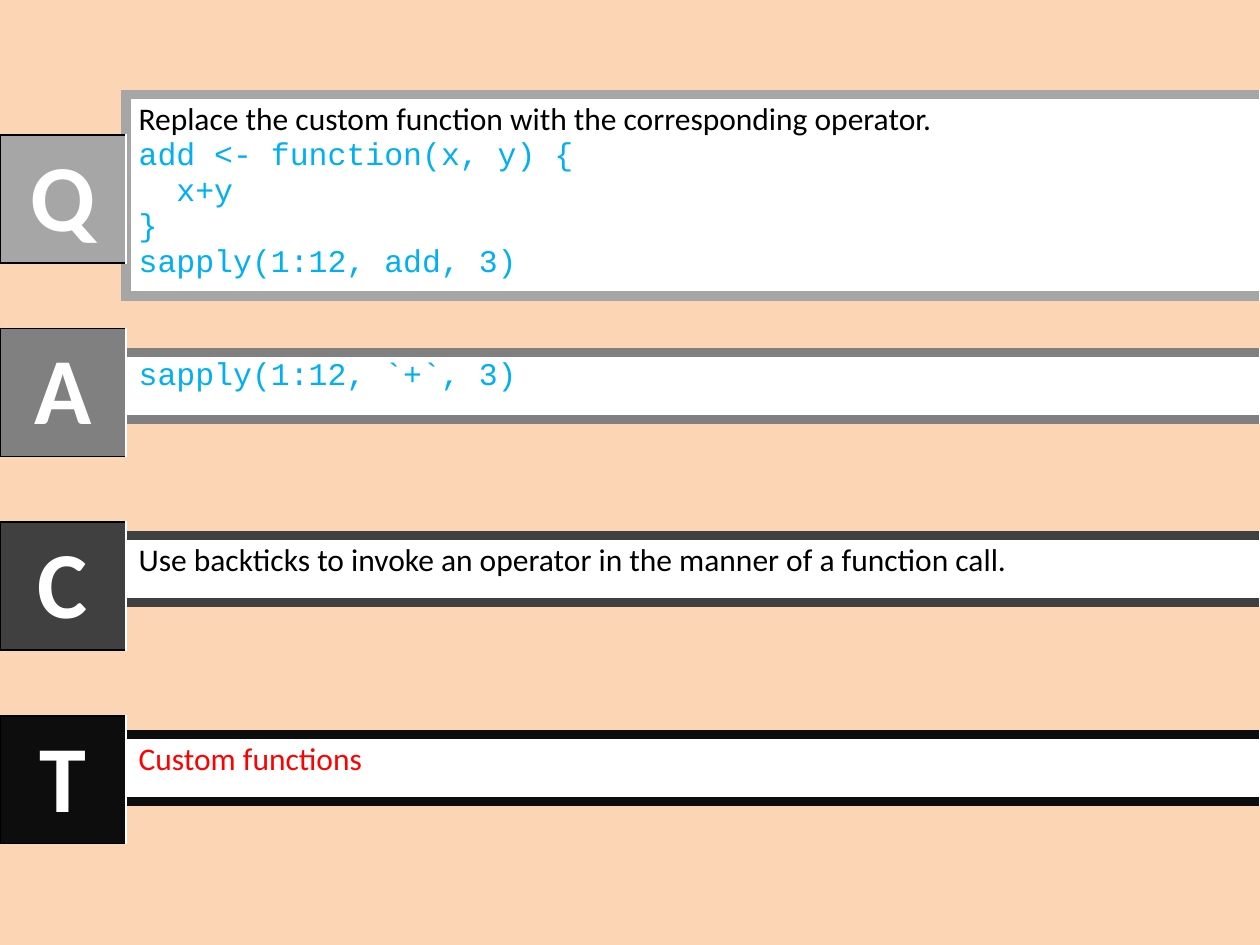
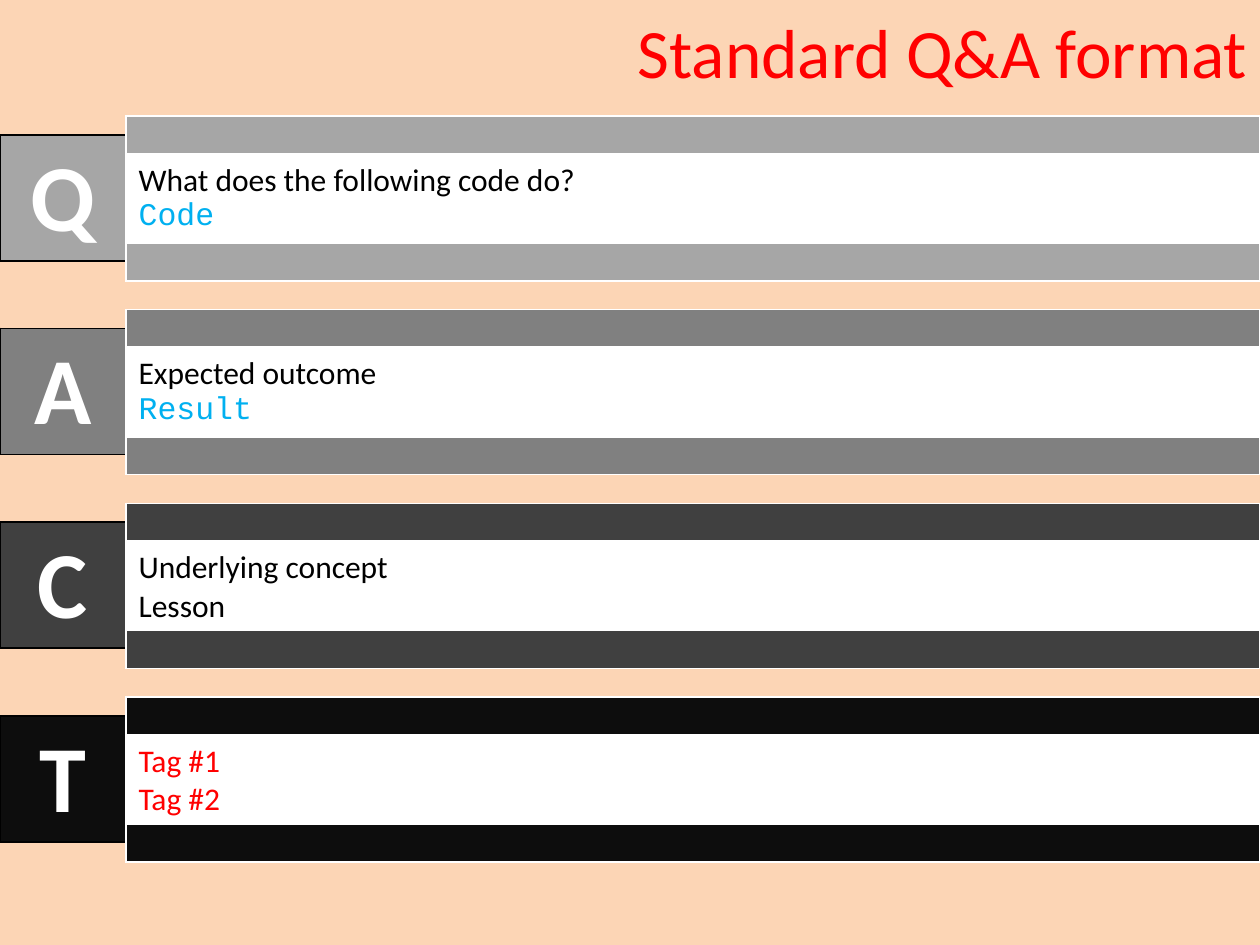
"""Build two question, answer, concept and tag slides."""
import lxml.etree
import pptx
import pptx.dml.color
import pptx.enum.text
import pptx.oxml.ns
import pptx.util

Inches = pptx.util.Inches
RGBColor = pptx.dml.color.RGBColor
qn = pptx.oxml.ns.qn

PEACH = RGBColor(0xFC, 0xD5, 0xB5)
WHITE = RGBColor(0xFF, 0xFF, 0xFF)
BLACK = RGBColor(0x00, 0x00, 0x00)
RED = RGBColor(0xFF, 0x00, 0x00)
CODE_BLUE = RGBColor(0x00, 0xB0, 0xF0)
LIGHT_GRAY = RGBColor(0xA6, 0xA6, 0xA6)
MID_GRAY = RGBColor(0x80, 0x80, 0x80)
DARK_GRAY = RGBColor(0x40, 0x40, 0x40)
NEAR_BLACK = RGBColor(0x0D, 0x0D, 0x0D)

PROSE = ("Calibri", 18, BLACK, False)
CODE = ("Courier New", 18, CODE_BLUE, False)
TAG = ("Calibri", 18, RED, False)
LETTER = ("Calibri", 54, WHITE, True)
TITLE = ("Calibri", 39.6, RED, False)

THIN_WHITE = (WHITE, 1)
THICK_WHITE = (WHITE, 3)
THIN_BLACK = (BLACK, 1)

SECTIONS = [("Q", LIGHT_GRAY), ("A", MID_GRAY), ("C", DARK_GRAY), ("T", NEAR_BLACK)]
FIRST_LETTER_TOP = 1.07
SECTION_PITCH = 1.537

QUESTION_BOXES = [
    (0.75, 1.6, [
        ("Replace the custom function with the corresponding operator.", PROSE),
        ("add <- function(x, y) {", CODE),
        ("  x+y", CODE),
        ("}", CODE),
        ("sapply(1:12, add, 3)", CODE),
    ]),
    (2.8, 0.53, [("sapply(1:12, `+`, 3)", CODE)]),
    (4.25, 0.53, [("Use backticks to invoke an operator in the manner of a function call.", PROSE)]),
    (5.83, 0.53, [("Custom functions", TAG)]),
]

FORMAT_BOXES = [
    [("What does the following code do?", PROSE), ("Code", CODE)],
    [("Expected outcome", PROSE), ("Result", CODE)],
    [("Underlying concept", PROSE), ("Lesson", PROSE)],
    [("Tag #1", TAG), ("Tag #2", TAG)],
]


def write_lines(text_frame, lines, alignment=pptx.enum.text.PP_ALIGN.LEFT):
    text_frame.text = "\n".join(text for text, style in lines)
    for paragraph, (text, style) in zip(text_frame.paragraphs, lines):
        paragraph.alignment = alignment
        font = paragraph.runs[0].font
        font.name, size, font.color.rgb, font.bold = style
        font.size = pptx.util.Pt(size)


def add_box(slide, left, top, width, rows):
    total_height = sum(height for height, color, borders, lines in rows)
    table = slide.shapes.add_table(
        len(rows), 1, Inches(left), Inches(top), Inches(width), Inches(total_height)
    ).table
    table.first_row = False
    table.horz_banding = False
    for index, (height, color, borders, lines) in enumerate(rows):
        table.rows[index].height = Inches(height)
        cell = table.cell(index, 0)
        properties = cell._tc.get_or_add_tcPr()
        for side, (border_color, points) in zip(("lnL", "lnR", "lnT", "lnB"), borders):
            line = lxml.etree.SubElement(properties, qn("a:" + side), w=str(pptx.util.Pt(points)))
            fill = lxml.etree.SubElement(line, qn("a:solidFill"))
            lxml.etree.SubElement(fill, qn("a:srgbClr"), val=str(border_color))
        cell.fill.solid()
        cell.fill.fore_color.rgb = color
        if lines:
            write_lines(cell.text_frame, lines)
        else:
            paragraph = cell.text_frame.paragraphs[0]
            lxml.etree.SubElement(paragraph._p, qn("a:endParaRPr"), sz="800")
    return table


presentation = pptx.Presentation()
presentation.slide_width = Inches(10)
presentation.slide_height = Inches(7.5)

slides = []
for number in range(2):
    slide = presentation.slides.add_slide(presentation.slide_layouts[6])
    slide.background.fill.solid()
    slide.background.fill.fore_color.rgb = PEACH
    slides.append(slide)
question_slide, format_slide = slides

for (letter, color), (top, height, lines) in zip(SECTIONS, QUESTION_BOXES):
    band = (color, 6)
    left_border = band if letter == "Q" else THIN_WHITE
    borders = (left_border, THIN_WHITE, band, band)
    add_box(question_slide, 1, top, 9, [(height, WHITE, borders, lines)])

title = format_slide.shapes.add_textbox(Inches(1), Inches(0.05), Inches(9), Inches(0.7))
title.text_frame.word_wrap = True
title.text_frame.vertical_anchor = pptx.enum.text.MSO_ANCHOR.MIDDLE
write_lines(title.text_frame, [("Standard Q&A format", TITLE)], pptx.enum.text.PP_ALIGN.RIGHT)

letter_borders = (THIN_BLACK, THIN_WHITE, THIN_BLACK, THIN_BLACK)
for slide in slides:
    for index, (letter, color) in enumerate(SECTIONS):
        top = FIRST_LETTER_TOP + index * SECTION_PITCH
        letter_row = (1, color, letter_borders, [(letter, LETTER)])
        cell = add_box(slide, 0, top, 1, [letter_row]).cell(0, 0)
        cell.vertical_anchor = pptx.enum.text.MSO_ANCHOR.MIDDLE
        cell.text_frame.paragraphs[0].alignment = pptx.enum.text.PP_ALIGN.CENTER

for index, ((letter, color), lines) in enumerate(zip(SECTIONS, FORMAT_BOXES)):
    top = FIRST_LETTER_TOP - 0.15 + index * SECTION_PITCH
    add_box(format_slide, 1, top, 9, [
        (0.31, color, (THIN_WHITE, THIN_WHITE, THIN_WHITE, THICK_WHITE), []),
        (0.69, WHITE, (THIN_WHITE, THIN_WHITE, THICK_WHITE, THIN_WHITE), lines),
        (0.3, color, (THIN_WHITE,) * 4, []),
    ])

presentation.save("out.pptx")
